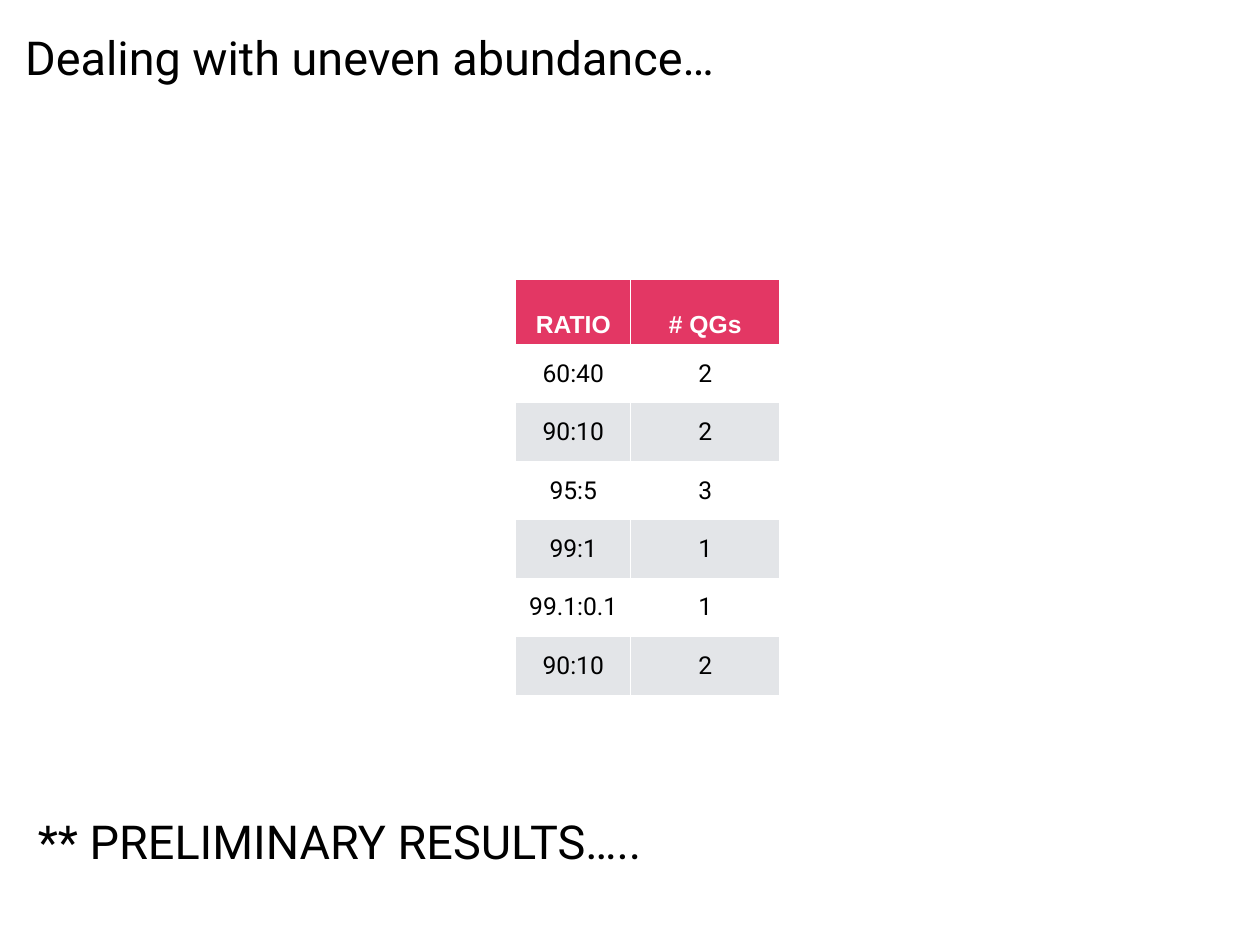
from pptx import Presentation
from pptx.dml.color import RGBColor
from pptx.enum.text import MSO_ANCHOR, MSO_AUTO_SIZE, PP_ALIGN
from pptx.util import Inches, Pt

MIDDLE = MSO_ANCHOR.MIDDLE
CENTER = PP_ALIGN.CENTER
GROW = MSO_AUTO_SIZE.SHAPE_TO_FIT_TEXT

WIDE, HIGH = 14.22, 10.67
PINK, WHITE, GRAY, BLACK = "E33764", "FFFFFF", "E3E5E8", "000000"
SIDES = ("left", "top", "right", "bottom")

NOTE = {"name": "Roboto", "size": Pt(38)}
HEAD = {"name": "Arial", "size": Pt(20), "bold": True}
BODY = {"name": "Roboto", "size": Pt(20), "bold": False}

RATIOS = [
    ("RATIO", "# QGs"),
    ("60:40", "2"),
    ("90:10", "2"),
    ("95:5", "3"),
    ("99:1", "1"),
    ("99.1:0.1", "1"),
    ("90:10", "2"),
]
COLS = (1.3, 1.68)
HEAD_ROW, BODY_ROW = 0.74, 0.66


def color(code):
    return RGBColor.from_string(code)


def style(para, look, ink):
    for key, value in look.items():
        setattr(para.font, key, value)
    para.font.color.rgb = color(ink)


def inset(item, size):
    """Give a cell or text frame the same margin on every side."""
    for side in SIDES:
        setattr(item, "margin_" + side, Inches(size))


def add_note(slide, text, left, top):
    """Add a large line of text; left and top are shares of the slide."""
    box = slide.shapes.add_textbox(
        Inches(WIDE * left), Inches(HIGH * top), Inches(8.63), Inches(0.75))
    frame = box.text_frame
    frame.word_wrap = True
    frame.auto_size = GROW
    inset(frame, 0)
    frame.text = text
    style(frame.paragraphs[0], NOTE, BLACK)


def fill_cell(cell, text, row):
    head = row == 0
    cell.fill.solid()
    cell.fill.fore_color.rgb = color(PINK if head else (GRAY, WHITE)[row % 2])
    cell.vertical_anchor = MIDDLE
    inset(cell, 0.06)
    cell.text = text
    para = cell.text_frame.paragraphs[0]
    para.alignment = CENTER
    if head:
        para.line_spacing = Pt(44)
    style(para, HEAD if head else BODY, WHITE if head else BLACK)


def add_grid(slide, rows, left, top):
    heights = [HEAD_ROW] + [BODY_ROW] * (len(rows) - 1)
    grid = slide.shapes.add_table(
        len(rows), len(COLS), Inches(left), Inches(top),
        Inches(sum(COLS)), Inches(sum(heights))).table
    for col, width in zip(grid.columns, COLS):
        col.width = Inches(width)
    for r, (cells, height) in enumerate(zip(rows, heights)):
        grid.rows[r].height = Inches(height)
        for c, text in enumerate(cells):
            fill_cell(grid.cell(r, c), text, r)


def main():
    deck = Presentation()
    deck.slide_width, deck.slide_height = Inches(WIDE), Inches(HIGH)
    slide = deck.slides.add_slide(deck.slide_layouts[6])
    add_grid(slide, RATIOS, 5.82, 3.15)
    add_note(slide, "Dealing with uneven abundance…", 0.02, 0.03)
    add_note(slide, "** PRELIMINARY RESULTS…..", 0.03, 0.86)
    deck.save("out.pptx")


if __name__ == "__main__":
    main()
